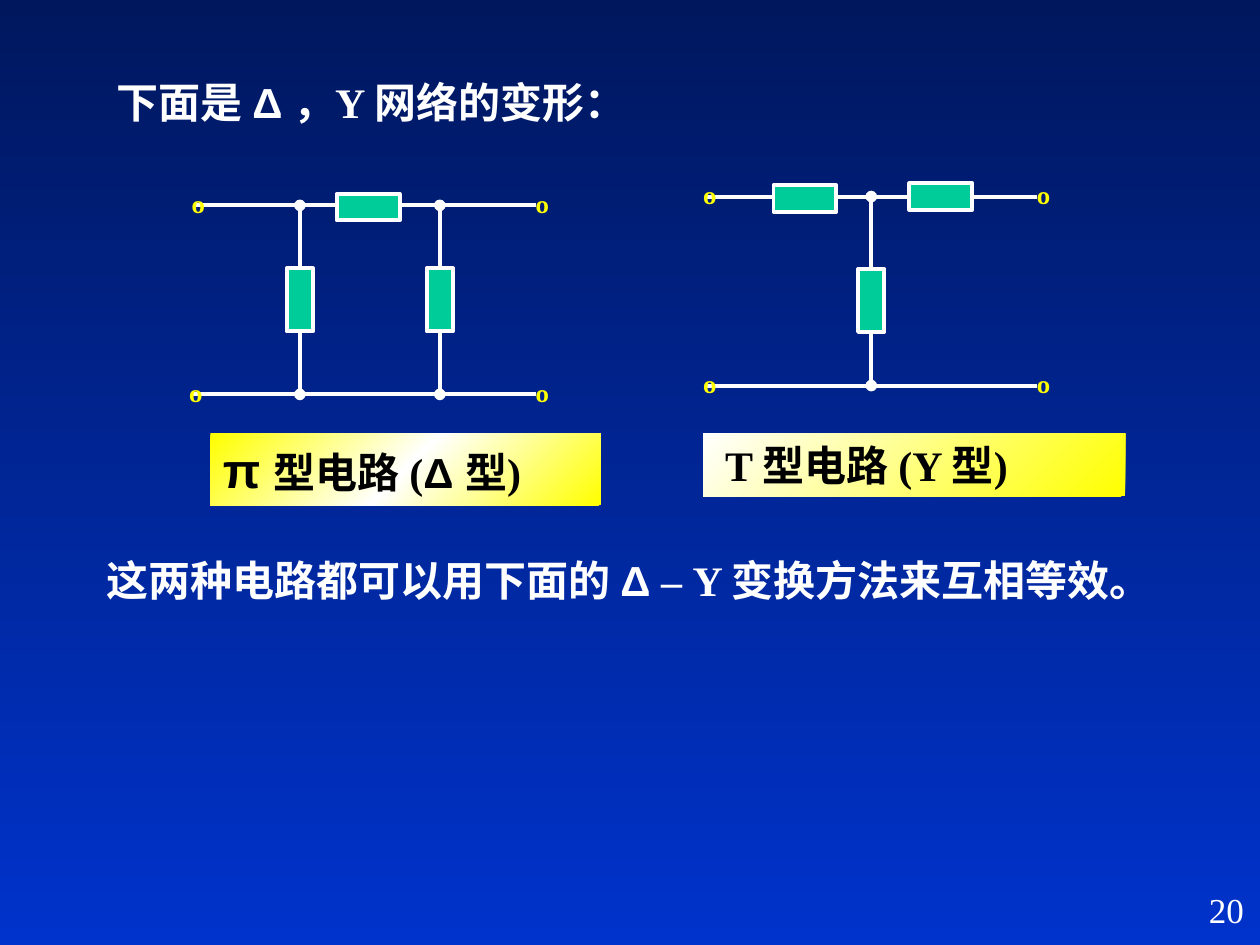
from lxml import etree
from pptx import Presentation
from pptx.dml.color import RGBColor
from pptx.enum.shapes import MSO_CONNECTOR, MSO_SHAPE
from pptx.enum.text import MSO_ANCHOR, PP_ALIGN
from pptx.oxml.ns import qn
from pptx.util import Inches, Pt

RECT = MSO_SHAPE.RECTANGLE
STRAIGHT = MSO_CONNECTOR.STRAIGHT
TOP, MIDDLE = MSO_ANCHOR.TOP, MSO_ANCHOR.MIDDLE
LEFT, CENTER, RIGHT = PP_ALIGN.LEFT, PP_ALIGN.CENTER, PP_ALIGN.RIGHT

WHITE = RGBColor(0xFF, 0xFF, 0xFF)
BLACK = RGBColor(0, 0, 0)
YELLOW = RGBColor(0xFF, 0xFF, 0)
GREEN = RGBColor(0, 0xCC, 0x99)
NAVY = RGBColor(0, 0x17, 0x5E)
BLUE = RGBColor(0, 0x33, 0xCC)

SERIF, SANS = "Times New Roman", "Arial"
WIRE = Pt(2.25)
RES_LONG, RES_SHORT = 0.5, 0.21
PORT_W, PORT_H = 0.23, 0.5


def set_gradient(fill, element, stops, angle):
    fill.gradient()
    fill.gradient_angle = 360 - angle
    gs_list = element.find(".//" + qn("a:gsLst"))
    for gs in list(gs_list):
        gs_list.remove(gs)
    for pos, color in stops:
        gs = etree.SubElement(gs_list, qn("a:gs"), pos=str(pos * 1000))
        etree.SubElement(gs, qn("a:srgbClr"), val=str(color))


def write(sp, runs, color, align=LEFT, anchor=TOP, bold=True):
    tf = sp.text_frame
    tf.word_wrap = True
    tf.vertical_anchor = anchor
    p = tf.paragraphs[0]
    p.alignment = align
    for text, font, size in runs:
        r = p.add_run()
        r.text = text
        r.font.name = font
        r.font.size = Pt(size)
        r.font.bold = bold
        r.font.color.rgb = color


def add_text(s, box, runs, color, **style):
    sp = s.shapes.add_textbox(*map(Inches, box))
    write(sp, runs, color, **style)


def add_box(s, box):
    sp = s.shapes.add_shape(RECT, *map(Inches, box))
    sp.shadow.inherit = False
    sp.line.fill.background()
    return sp


def add_wire(s, x1, y1, x2, y2, dots=False):
    c = s.shapes.add_connector(STRAIGHT, *map(Inches, (x1, y1, x2, y2)))
    c.line.color.rgb = WHITE
    c.line.width = WIRE
    if dots:
        ln = c.line._get_or_add_ln()
        for end in ("a:headEnd", "a:tailEnd"):
            etree.SubElement(ln, qn(end), type="oval")
    etree.SubElement(c._element.spPr, qn("a:effectLst"))


def add_resistor(s, cx, cy, w, h):
    sp = add_box(s, (cx - w / 2, cy - h / 2, w, h))
    sp.fill.solid()
    sp.fill.fore_color.rgb = GREEN
    sp.line.color.rgb = WHITE
    sp.line.width = WIRE


def add_circuit(s, box, branches, series, branch_mid, low_shift=0):
    x, y, w, h = box
    for row_y, start in ((y, x), (y + h, x + low_shift)):
        add_wire(s, start, row_y, x + w, row_y)
        for left in (start - 0.12, x + w - 0.1):
            add_text(s, (left, row_y - 0.19, PORT_W, PORT_H),
                     [("º", SERIF, 24)], YELLOW, align=CENTER, anchor=MIDDLE)
    for col in branches:
        cx = x + col * w
        add_wire(s, cx, y, cx, y + h, dots=True)
        add_resistor(s, cx, y + branch_mid * h, RES_SHORT, RES_LONG)
    for col, row in series:
        add_resistor(s, x + col * w, y + row * h, RES_LONG, RES_SHORT)


def add_caption(s, box, runs, stops):
    sp = add_box(s, box)
    set_gradient(sp.fill, sp._element, stops, 225)
    write(sp, runs, BLACK)


def main():
    prs = Presentation()
    prs.slide_width, prs.slide_height = Inches(10), Inches(7.5)
    s = prs.slides.add_slide(prs.slide_layouts[6])
    set_gradient(s.background.fill, s._element, [(0, NAVY), (100, BLUE)], 90)

    add_text(s, (0.83, 0.56, 4.75, 0.5),
             [("下面是 ", SERIF, 24), ("Δ", SANS, 24),
              (" ，Y 网络的变形：", SERIF, 24)], WHITE)
    add_circuit(s, (1.54, 1.63, 2.71, 1.5), branches=(0.31, 0.72),
                series=((0.51, 0.01),), branch_mid=0.5, low_shift=-0.02)
    add_circuit(s, (5.6, 1.56, 2.63, 1.5), branches=(0.5,),
                series=((0.3, 0.01), (0.71, 0)), branch_mid=0.55)
    add_caption(s, (1.67, 3.44, 3.1, 0.57),
                [("π ", SANS, 28), ("型电路 (", SERIF, 24),
                 ("Δ ", SANS, 24), ("型)", SERIF, 24)],
                [(0, YELLOW), (50, WHITE), (100, YELLOW)])
    add_caption(s, (5.58, 3.44, 3.35, 0.5), [(" T 型电路 (Y 型)", SERIF, 24)],
                [(0, YELLOW), (100, WHITE)])
    add_text(s, (0.75, 4.35, 8.67, 0.5),
             [("这两种电路都可以用下面的 ", SERIF, 24), ("Δ", SANS, 24),
              (" – Y 变换方法来互相等效。", SERIF, 24)], WHITE)
    add_text(s, (7.89, 7, 2.08, 0.5), [("20", SERIF, 20)], WHITE,
             align=RIGHT, bold=False)
    prs.save("out.pptx")


if __name__ == "__main__":
    main()
